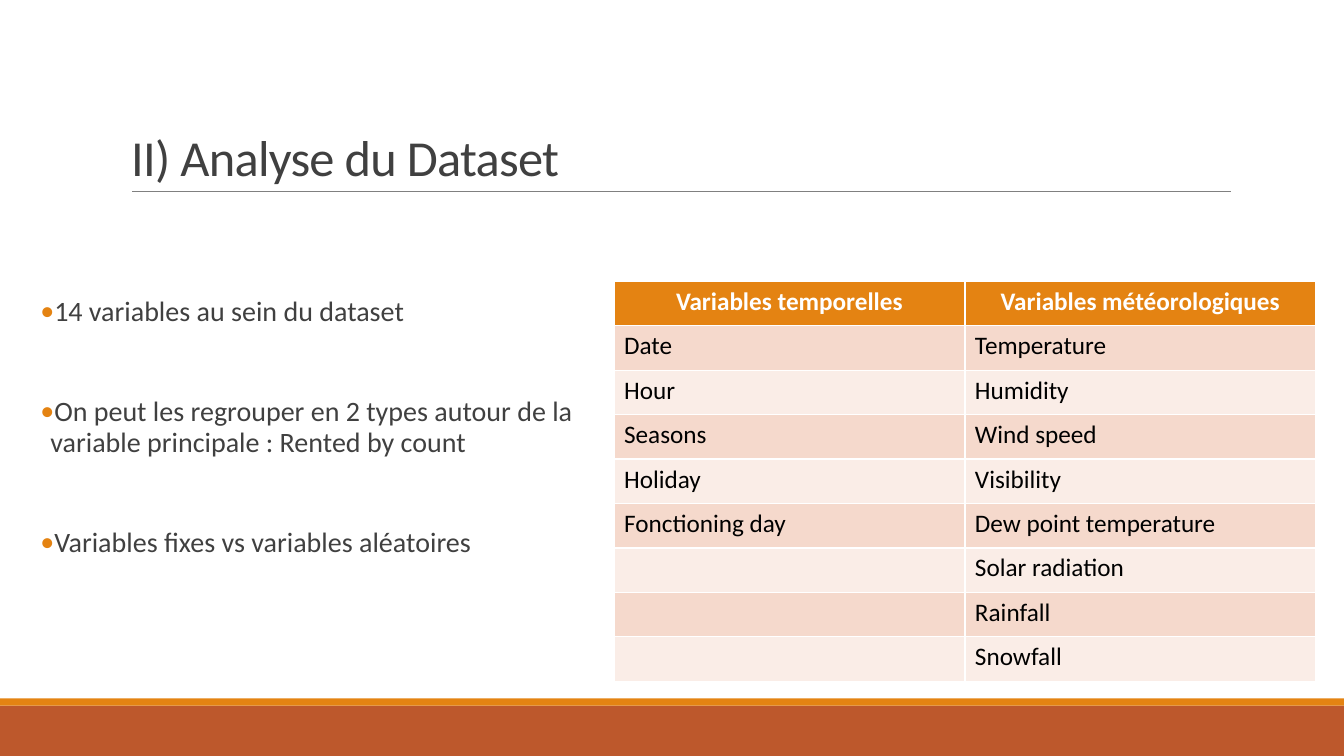
from itertools import zip_longest

from lxml.etree import SubElement
from pptx import Presentation
from pptx.dml.color import RGBColor
from pptx.enum.shapes import MSO_CONNECTOR, MSO_SHAPE
from pptx.enum.text import MSO_ANCHOR, MSO_AUTO_SIZE, PP_ALIGN
from pptx.oxml.ns import qn
from pptx.util import Inches, Pt

# Content
TITLE = "II) Analyse du Dataset"
BULLETS = [
    "14 variables au sein du dataset",
    "On peut les regrouper en 2 types autour de la variable principale : Rented by count",
    "Variables fixes vs variables aléatoires",
]
VARIABLES = {
    "Variables temporelles": ["Date", "Hour", "Seasons", "Holiday", "Fonctioning day"],
    "Variables météorologiques": [
        "Temperature", "Humidity", "Wind speed", "Visibility",
        "Dew point temperature", "Solar radiation", "Rainfall", "Snowfall",
    ],
}

# Formats
WHITE = RGBColor(0xFF, 0xFF, 0xFF)
BLACK = RGBColor(0x00, 0x00, 0x00)
DARK_GREY = RGBColor(0x40, 0x40, 0x40)
RULE_GREY = RGBColor(0x80, 0x80, 0x80)
ORANGE = RGBColor(0xE4, 0x83, 0x12)
RUST = RGBColor(0xBD, 0x58, 0x2C)
ROW_TINTS = [RGBColor(0xF5, 0xD9, 0xCC), RGBColor(0xFA, 0xED, 0xE7)]

TITLE_FONT = {"name": "Calibri", "size": Pt(36)}
BODY_FONT = {"name": "Calibri", "size": Pt(20)}
HEADER_FONT = {"name": "Calibri", "size": Pt(18), "bold": True}
CELL_FONT = {"name": "Calibri", "size": Pt(18), "bold": False}
TITLE_FRAME = {"vertical_anchor": MSO_ANCHOR.BOTTOM, "auto_size": MSO_AUTO_SIZE.NONE}
BODY_FRAME = {
    "vertical_anchor": MSO_ANCHOR.TOP, "auto_size": MSO_AUTO_SIZE.NONE,
    "margin_left": 0, "margin_right": 0,
}
TITLE_PARAGRAPH = {"alignment": PP_ALIGN.LEFT, "line_spacing": 0.85}
BULLET_PARAGRAPH = {"line_spacing": 0.9, "space_before": Pt(48), "space_after": Pt(2)}

# Positions: left, top, width, height
TITLE_BOX = (1.2, 0.31, 11, 1.59)
BODY_BOX = (0.4, 2.9, 5.4, 3.74)
TABLE_BOX = (6.09, 2.79, 6.96, 3.97)
BANDS = [((0, 7, 13.33, 0.5), RUST), ((0, 6.93, 13.33, 0.07), ORANGE)]
RULE = (1.31, 1.9, 12.21, 1.9)


def lengths(box):
    return [Inches(value) for value in box]


def apply(target, formats):
    for name, value in formats.items():
        setattr(target, name, value)


def place(shape, box):
    apply(shape, dict(zip(("left", "top", "width", "height"), lengths(box))))


def add_run(paragraph, text, font, color):
    run = paragraph.add_run()
    run.text = text
    apply(run.font, font)
    run.font.color.rgb = color
    return run


def add_bullet(paragraph):
    properties = paragraph._p.get_or_add_pPr()
    properties.set("marL", str(Inches(0.1)))
    properties.set("indent", str(-Inches(0.1)))
    color = SubElement(properties, qn("a:buClr"))
    SubElement(color, qn("a:srgbClr"), val=str(ORANGE))
    SubElement(properties, qn("a:buFont"), typeface="Calibri")
    SubElement(properties, qn("a:buChar"), char="•")


presentation = Presentation()
presentation.slide_width = Inches(13.33)
presentation.slide_height = Inches(7.5)
slide = presentation.slides.add_slide(presentation.slide_layouts[1])

# Footer bands
for box, color in BANDS:
    band = slide.shapes.add_shape(MSO_SHAPE.RECTANGLE, *lengths(box))
    band.shadow.inherit = False
    band.fill.solid()
    band.fill.fore_color.rgb = color
    band.line.fill.background()

# Rule under the title
rule = slide.shapes.add_connector(MSO_CONNECTOR.STRAIGHT, *lengths(RULE))
rule.line.color.rgb = RULE_GREY
rule.line.width = Pt(0.5)
SubElement(rule._element.spPr, qn("a:effectLst"))

# Title
title = slide.shapes.title
place(title, TITLE_BOX)
apply(title.text_frame, TITLE_FRAME)
paragraph = title.text_frame.paragraphs[0]
apply(paragraph, TITLE_PARAGRAPH)
title_run = add_run(paragraph, TITLE, TITLE_FONT, DARK_GREY)
title_run.font._element.set("spc", "-50")

# Bullet list
body = slide.placeholders[1]
place(body, BODY_BOX)
apply(body.text_frame, BODY_FRAME)
for index, text in enumerate(BULLETS):
    frame = body.text_frame
    paragraph = frame.add_paragraph() if index else frame.paragraphs[0]
    apply(paragraph, BULLET_PARAGRAPH)
    if index == 0:
        paragraph.space_before = Pt(12)
    add_bullet(paragraph)
    add_run(paragraph, text, BODY_FONT, DARK_GREY)

# Table of variables
rows = [tuple(VARIABLES), *zip_longest(*VARIABLES.values(), fillvalue="")]
table = slide.shapes.add_table(len(rows), len(VARIABLES), *lengths(TABLE_BOX)).table
for row_index, row in enumerate(rows):
    is_header = row_index == 0
    for column_index, text in enumerate(row):
        cell = table.cell(row_index, column_index)
        cell.fill.solid()
        cell.fill.fore_color.rgb = ORANGE if is_header else ROW_TINTS[(row_index - 1) % 2]
        paragraph = cell.text_frame.paragraphs[0]
        paragraph.alignment = PP_ALIGN.CENTER if is_header else PP_ALIGN.LEFT
        if text:
            font, color = (HEADER_FONT, WHITE) if is_header else (CELL_FONT, BLACK)
            add_run(paragraph, text, font, color)

presentation.save("out.pptx")
